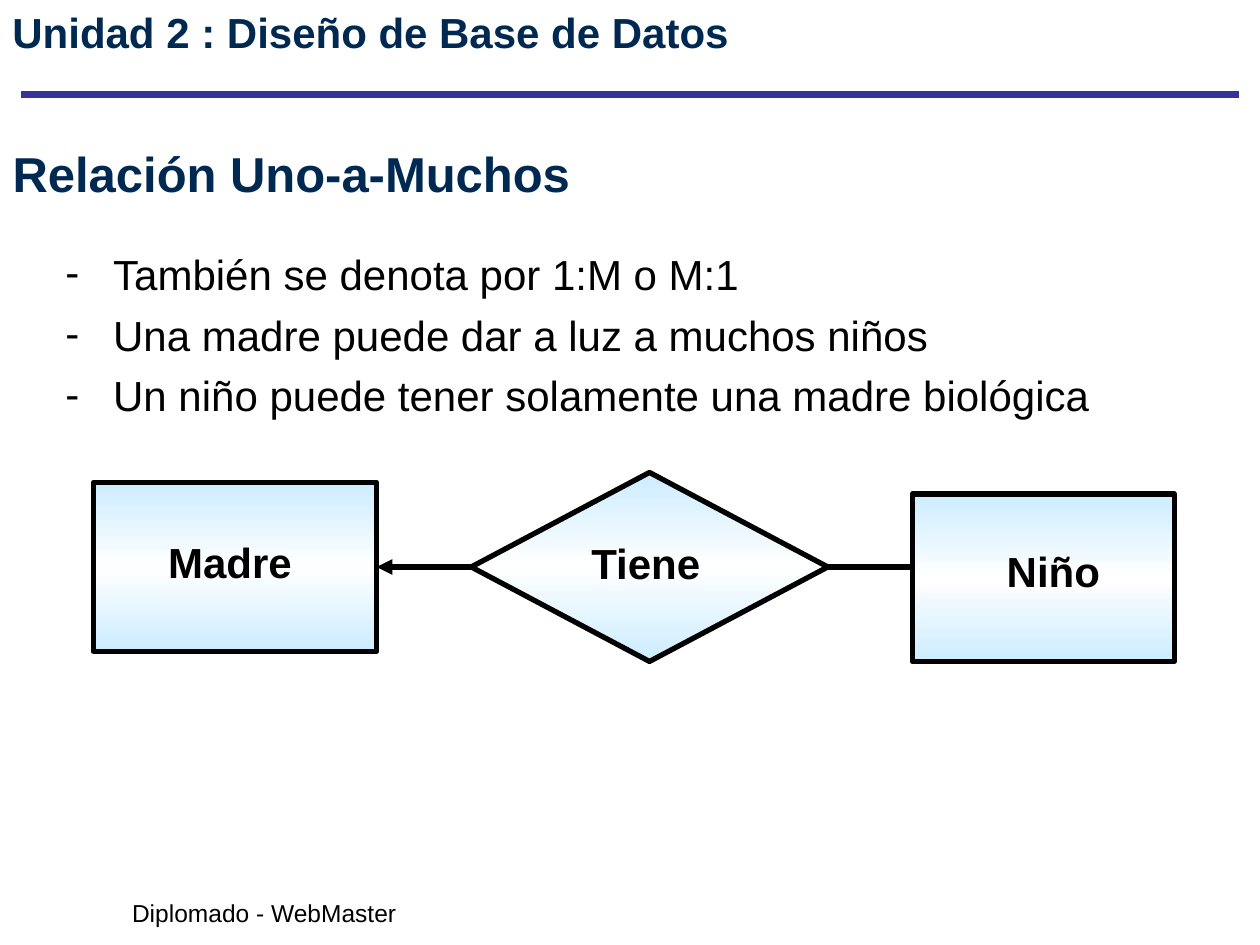
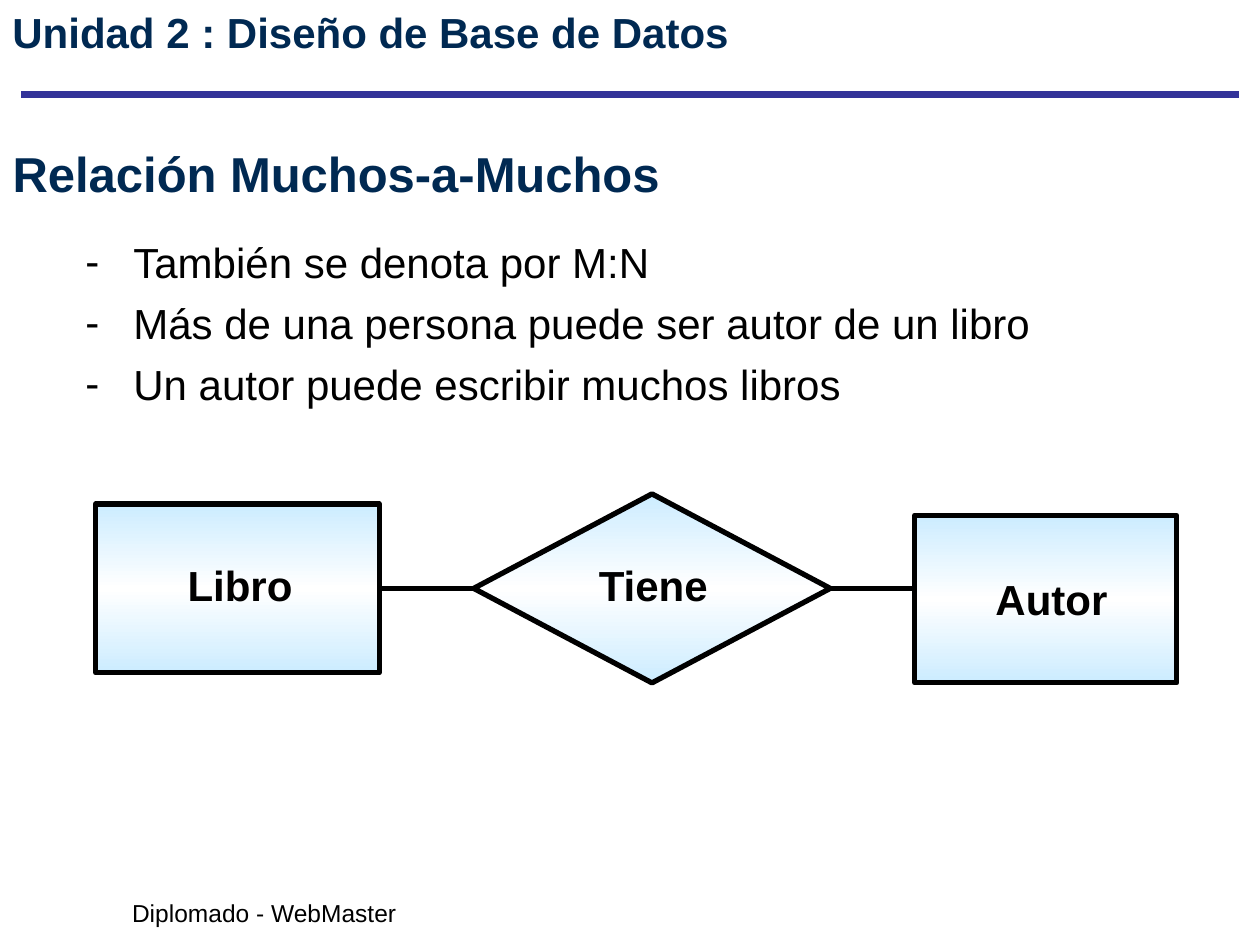
from copy import deepcopy
from dataclasses import dataclass

from pptx import Presentation
from pptx.dml.color import RGBColor
from pptx.enum.shapes import MSO_CONNECTOR, MSO_SHAPE
from pptx.enum.text import MSO_ANCHOR, MSO_AUTO_SIZE, PP_ALIGN
from pptx.oxml.ns import qn
from pptx.util import Inches, Pt
from lxml.etree import SubElement

FONT = "Arial"
NAVY, RULE_BLUE, BLACK = "002952", "333399", "000000"
SKY_GRADIENT = ((0, "CCECFF"), (0.5, "FFFFFF"), (1, "CCECFF"))
UNIT = "Unidad 2 : Diseño de Base de Datos"
COURSE = "Diplomado - WebMaster"
TITLE_ONLY = 5


@dataclass(frozen=True)
class Box:
    """A rectangle in inches."""
    left: float
    top: float
    width: float
    height: float

    def lengths(self):
        """Return the four sides as slide lengths."""
        return [Inches(side) for side in (self.left, self.top, self.width, self.height)]


@dataclass(frozen=True)
class Label:
    """A name and the box that places it."""
    text: str
    box: Box


@dataclass(frozen=True)
class Relation:
    """The content of one slide about a kind of relation."""
    title: str
    points: tuple[str, ...]
    points_box: Box
    left: float
    middle: float
    labels: tuple[Label, Label, Label]
    arrow_to_first: bool = False


RELATIONS = (
    Relation(
        "Relación Uno-a-Muchos",
        ("También se denota por 1:M o M:1",
         "Una madre puede dar a luz a muchos niños",
         "Un niño puede tener solamente una madre biológica"),
        Box(0.42, 1.92, 8.5, 1.75), 0.74, 4.5,
        (Label("Madre", Box(0.99, 4.21, 1.67, 0.5)),
         Label("Tiene", Box(4.29, 4.22, 1.67, 0.5)),
         Label("Niño", Box(7.82, 4.28, 1.08, 0.5))),
        arrow_to_first=True),
    Relation(
        "Relación Muchos-a-Muchos",
        ("También se denota por M:N",
         "Más de una persona puede ser autor de un libro",
         "Un autor puede escribir muchos libros"),
        Box(0.58, 1.83, 7.92, 1.67), 0.76, 4.67,
        (Label("Libro", Box(1.24, 4.39, 1.33, 0.5)),
         Label("Tiene", Box(4.56, 4.39, 1.25, 0.5)),
         Label("Autor", Box(7.76, 4.5, 1.17, 0.5)))),
)


def rgb(color: str) -> RGBColor:
    """Turn a hex string into a colour."""
    return RGBColor.from_string(color)


def write(frame, *lines: str, size: float = 24, color: str = BLACK, bold: bool = False,
          align=PP_ALIGN.LEFT, anchor=MSO_ANCHOR.TOP, before: float = 0,
          bullet: str = "", wrap: bool = True, grow: bool = False) -> None:
    """Fill a text frame with one formatted paragraph per line."""
    frame.word_wrap = wrap
    frame.auto_size = MSO_AUTO_SIZE.SHAPE_TO_FIT_TEXT if grow else MSO_AUTO_SIZE.NONE
    frame.vertical_anchor = anchor
    frame.text = "\n".join(lines)
    for paragraph in frame.paragraphs:
        paragraph.alignment = align
        paragraph.space_before = Pt(before)
        font = paragraph.runs[0].font
        font.name, font.size, font.bold = FONT, Pt(size), bold
        font.color.rgb = rgb(color)
        if bullet:
            add_bullet(paragraph, bullet, color)


def add_bullet(paragraph, mark: str, color: str) -> None:
    """Give a paragraph a hanging bullet."""
    properties = paragraph._p.get_or_add_pPr()
    properties.set("marL", str(Inches(0.38)))
    properties.set("indent", str(-Inches(0.38)))
    SubElement(SubElement(properties, qn("a:buClr")), qn("a:srgbClr"), val=color)
    SubElement(properties, qn("a:buFont"), typeface=FONT)
    SubElement(properties, qn("a:buChar"), char=mark)


def add_text(slide, box: Box, *lines: str, **style) -> None:
    """Add a text box."""
    write(slide.shapes.add_textbox(*box.lengths()).text_frame, *lines, **style)


def add_node(slide, preset, box: Box):
    """Add an outlined diagram shape with a sky gradient."""
    node = slide.shapes.add_shape(preset, *box.lengths())
    node.shadow.inherit = False
    node.line.color.rgb = rgb(BLACK)
    node.line.width = Pt(3)
    node.fill.gradient()
    node.fill.gradient_angle = 270
    stops = node._element.spPr.find(qn("a:gradFill")).find(qn("a:gsLst"))
    stops.insert(1, deepcopy(stops[0]))
    for stop, (position, color) in zip(node.fill.gradient_stops, SKY_GRADIENT):
        stop.position = position
        stop.color.rgb = rgb(color)
    return node


def add_line(slide, start: tuple[float, float], end: tuple[float, float],
             color: str = BLACK, width: float = 3, arrow: bool = False):
    """Add a straight line, with an arrowhead at its end on request."""
    line = slide.shapes.add_connector(
        MSO_CONNECTOR.STRAIGHT, *(Inches(value) for value in (*start, *end)))
    line.line.color.rgb = rgb(color)
    line.line.width = Pt(width)
    if arrow:
        SubElement(line.line._get_or_add_ln(), qn("a:tailEnd"), type="triangle")
    SubElement(line._element.spPr, qn("a:effectLst"))
    return line


def add_diagram(slide, relation: Relation) -> None:
    """Draw two entities joined through a relation diamond."""
    left, middle = relation.left, relation.middle
    diamond_box = Box(left + 3, middle - 0.75, 2.83, 1.5)
    first = add_node(slide, MSO_SHAPE.RECTANGLE, Box(left, middle - 0.67, 2.25, 1.34))
    diamond = add_node(slide, MSO_SHAPE.FLOWCHART_DECISION, diamond_box)
    second_left = left + 6.5
    add_node(slide, MSO_SHAPE.RECTANGLE, Box(second_left, middle - 0.58, 2.08, 1.33))

    to_first = add_line(slide, (diamond_box.left, middle), (left + 2.25, middle),
                        arrow=relation.arrow_to_first)
    to_first.begin_connect(diamond, 1)
    to_first.end_connect(first, 3)
    to_second = add_line(slide, (diamond_box.left + diamond_box.width, middle),
                         (second_left, middle))
    to_second.begin_connect(diamond, 3)

    for label in relation.labels:
        add_text(slide, label.box, label.text, bold=True, align=PP_ALIGN.CENTER,
                 before=15, grow=True)


def add_frame(slide) -> None:
    """Add the unit heading, rule and footer that all slides share."""
    add_line(slide, (0.17, 0.75), (9.83, 0.75), color=RULE_BLUE, width=4.5)
    add_text(slide, Box(0, 0, 7.91, 0.58), UNIT, color=NAVY, bold=True, before=6)
    add_text(slide, Box(0.95, 7.08, 2.3, 0.34), COURSE, size=14,
             align=PP_ALIGN.JUSTIFY, wrap=False, grow=True)


def add_relation_slide(deck, relation: Relation) -> None:
    """Build one slide about a relation."""
    slide = deck.slides.add_slide(deck.slide_layouts[TITLE_ONLY])
    title = slide.shapes.title
    title.left, title.top, title.width, title.height = Box(0, 1, 8.5, 0.75).lengths()
    write(title.text_frame, relation.title, size=28, color=NAVY, bold=True,
          anchor=MSO_ANCHOR.MIDDLE)
    add_frame(slide)
    add_diagram(slide, relation)
    add_text(slide, relation.points_box, *relation.points, before=6, bullet="-",
             align=PP_ALIGN.JUSTIFY)


def main() -> None:
    """Build and save the presentation."""
    deck = Presentation()
    deck.slide_width, deck.slide_height = Inches(10), Inches(7.5)
    for relation in RELATIONS:
        add_relation_slide(deck, relation)
    deck.save("out.pptx")


if __name__ == "__main__":
    main()
